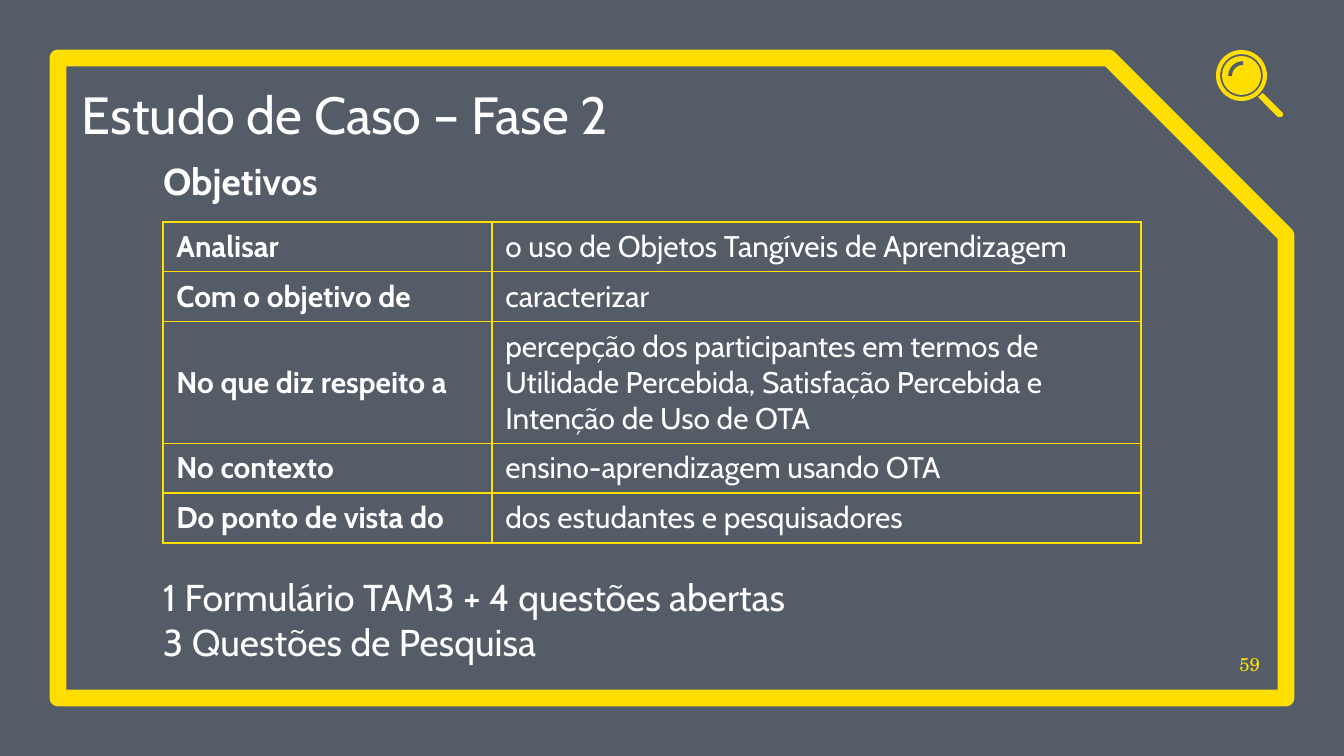
import pptx
import pptx.dml.color
import pptx.enum.shapes
import pptx.enum.text
import pptx.oxml
import pptx.util
from dataclasses import dataclass
from typing import Any

EMU_PER_PX = 914400 / 134.4
WHITE, YELLOW, NAVY, SLATE = "FFFFFF", "FFDE00", "040F20", "545C67"
NS = 'xmlns:a="http://schemas.openxmlformats.org/drawingml/2006/main"'
SHAPE = pptx.enum.shapes.MSO_SHAPE
ALIGN = pptx.enum.text.PP_ALIGN
ANCHOR = pptx.enum.text.MSO_ANCHOR


@dataclass
class Label:
    box: tuple[int, int, int, int]
    lines: list[str]
    size: int
    bold: bool = False
    font: str = "Cabin"
    color: str = WHITE
    align: Any = ALIGN.LEFT
    shadow: bool = True


@dataclass
class Row:
    height: int
    key: str
    value: str


LABELS = [
    Label((1224, 637, 36, 38), ["59"], 10, font="TeX Gyre Schola",
          color=YELLOW, align=ALIGN.RIGHT, shadow=False),
    Label((82, 74, 988, 71), ["Estudo de Caso – Fase 2"], 28),
    Label((163, 157, 333, 46), ["Objetivos"], 20, bold=True),
    Label((163, 571, 872, 93),
          ["1 Formulário TAM3 + 4 questões abertas", "3 Questões de Pesquisa"], 20),
]

ROWS = [
    Row(49, "Analisar", "o uso de Objetos Tangíveis de Aprendizagem"),
    Row(50, "Com o objetivo de", "caracterizar"),
    Row(122, "No que diz respeito a",
        "percepção dos participantes em termos de Utilidade Percebida, "
        "Satisfação Percebida e Intenção de Uso de OTA"),
    Row(49, "No contexto", "ensino-aprendizagem usando OTA"),
    Row(50, "Do ponto de vista do", "dos estudantes e pesquisadores"),
]
COLS = [329, 649]


def px(n: float) -> int:
    return round(n * EMU_PER_PX)


def rgb(color: str) -> pptx.dml.color.RGBColor:
    return pptx.dml.color.RGBColor.from_string(color)


def apply(obj: Any, fmt: dict[str, Any]) -> None:
    for name, value in fmt.items():
        setattr(obj, name, value)


def write(p: Any, text: str, size: int, bold: bool, font: str, color: str) -> Any:
    r = p.add_run()
    r.text = text
    apply(r.font, {"size": pptx.util.Pt(size), "bold": bold, "name": font})
    r.font.color.rgb = rgb(color)
    return r


def paint(sp: Any, fill: str | None, line: str | None = None, width: float = 0) -> Any:
    sp.shadow.inherit = False
    if fill:
        sp.fill.solid()
        sp.fill.fore_color.rgb = rgb(fill)
    else:
        sp.fill.background()
    if line:
        sp.line.color.rgb = rgb(line)
        sp.line.width = pptx.util.Pt(width)
    else:
        sp.line.fill.background()
    return sp


def add_shape(s: Any, kind: Any, box: tuple[int, int, int, int],
              fill: str | None, line: str | None = None, width: float = 0,
              adjust: tuple[float, ...] = ()) -> Any:
    sp = s.shapes.add_shape(kind, *map(px, box))
    for i, value in enumerate(adjust):
        sp.adjustments[i] = value
    return paint(sp, fill, line, width)


def add_label(s: Any, label: Label) -> None:
    tf = s.shapes.add_textbox(*map(px, label.box)).text_frame
    apply(tf, {"word_wrap": True, "vertical_anchor": ANCHOR.BOTTOM,
               "margin_left": 0, "margin_top": 0,
               "margin_right": 0, "margin_bottom": 0})
    for i, line in enumerate(label.lines):
        p = tf.add_paragraph() if i else tf.paragraphs[0]
        p.alignment = label.align
        r = write(p, line, label.size, label.bold, label.font, label.color)
        if label.shadow:
            r.font.fill._xPr.insert(1, pptx.oxml.parse_xml(
                f'<a:effectLst {NS}><a:outerShdw blurRad="38100" dist="38100" '
                'dir="2700000" algn="tl"><a:srgbClr val="000000">'
                '<a:alpha val="43000"/></a:srgbClr></a:outerShdw></a:effectLst>'))


def add_border(cell: Any, color: str) -> None:
    tcPr = cell._tc.get_or_add_tcPr()
    for i, side in enumerate(("lnL", "lnR", "lnT", "lnB")):
        tcPr.insert(i, pptx.oxml.parse_xml(
            f'<a:{side} {NS} w="12700"><a:solidFill><a:srgbClr val="{color}"/>'
            f'</a:solidFill></a:{side}>'))


def add_goals(s: Any) -> None:
    height = sum(row.height for row in ROWS)
    table = s.shapes.add_table(len(ROWS), len(COLS), px(163), px(222),
                               px(sum(COLS)), px(height)).table
    apply(table, {"first_row": False, "horz_banding": False})
    for col, width in zip(table.columns, COLS):
        col.width = px(width)
    for i, row in enumerate(ROWS):
        table.rows[i].height = px(row.height)
        for j, text in enumerate((row.key, row.value)):
            cell = table.cell(i, j)
            cell.vertical_anchor = ANCHOR.MIDDLE
            cell.fill.background()
            add_border(cell, YELLOW)
            write(cell.text_frame.paragraphs[0], text, 16, j == 0, "Cabin", WHITE)


def add_magnifier(s: Any) -> None:
    add_shape(s, SHAPE.DONUT, (1216, 50, 51, 51), YELLOW, adjust=(0.08,))
    add_shape(s, SHAPE.OVAL, (1222, 56, 39, 39), YELLOW)
    add_shape(s, SHAPE.ARC, (1230, 63, 26, 26), None, SLATE, 2, (108, 162))
    handle = s.shapes.build_freeform(1263, 93, scale=EMU_PER_PX)
    handle.add_line_segments([(1283, 113), (1283, 116), (1281, 117),
                              (1278, 117), (1258, 97)])
    paint(handle.convert_to_shape(), YELLOW)


def main() -> None:
    prs = pptx.Presentation()
    apply(prs, {"slide_width": px(1344), "slide_height": px(756)})
    s = prs.slides.add_slide(prs.slide_layouts[6])
    veil = add_shape(s, SHAPE.RECTANGLE, (0, 0, 1344, 756), NAVY)
    veil.fill._xPr.find(".//{*}srgbClr").append(
        pptx.oxml.parse_xml(f'<a:alpha {NS} val="68000"/>'))
    add_shape(s, SHAPE.SNIP_1_RECTANGLE, (58, 58, 1228, 640), None,
              YELLOW, 9, (0.277,))
    add_magnifier(s)
    add_goals(s)
    for label in LABELS:
        add_label(s, label)
    prs.save("out.pptx")


if __name__ == "__main__":
    main()
